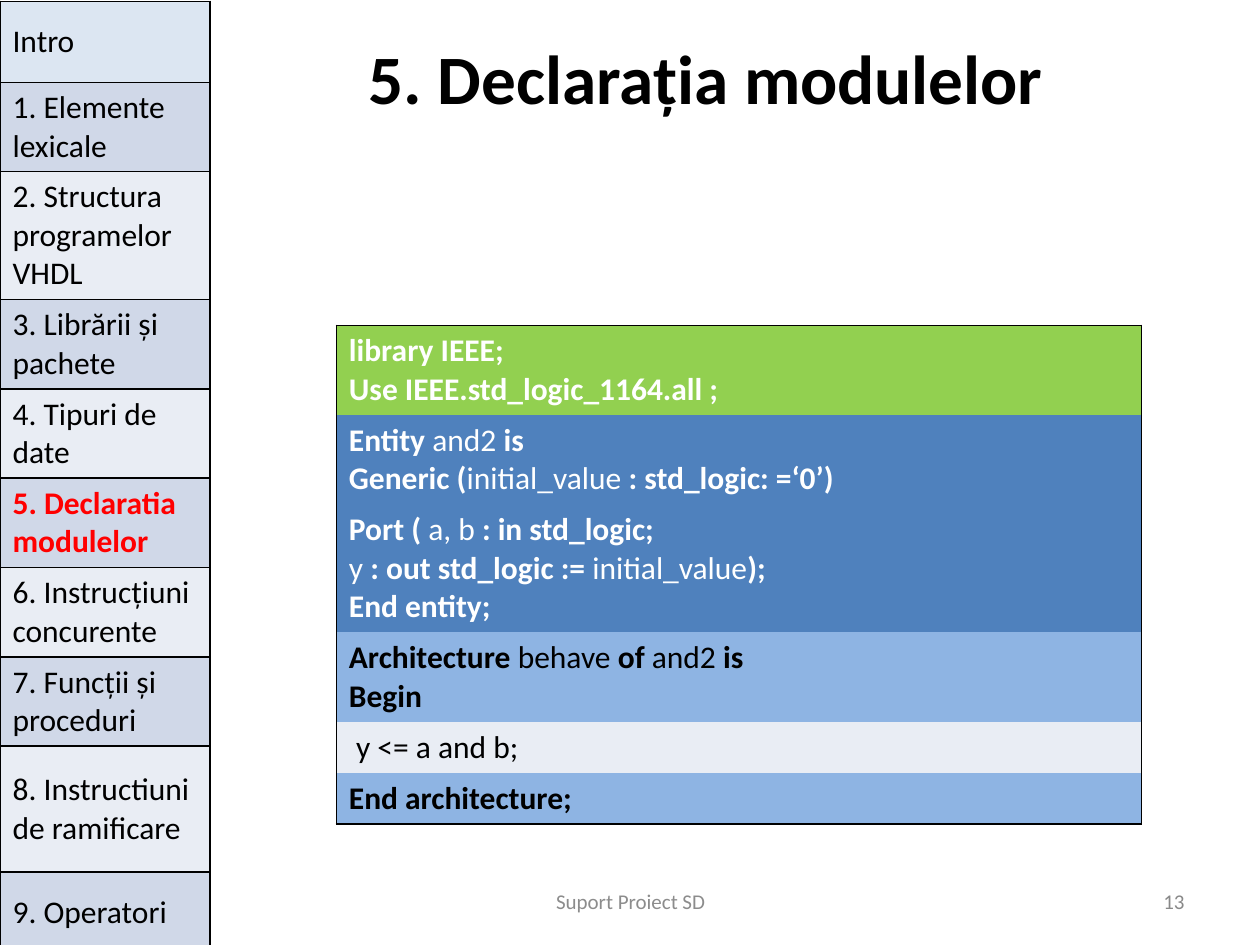
from pptx import Presentation
from pptx.dml.color import RGBColor
from pptx.enum.text import MSO_ANCHOR as Anchor, PP_ALIGN as Align
from pptx.oxml.ns import qn
from pptx.util import Cm, Pt
from lxml.etree import SubElement

BLACK, WHITE, RED = "000000", "FFFFFF", "FF0000"
GREEN, BLUE, SKY, PALE, MIST, ICE = (
    "92D050", "4F81BD", "8EB4E3", "E9EDF4", "D0D8E8", "DCE6F2")

# Bold parts stand between asterisks: height, fill, text colour, lines
CODE = [
    (1.8, GREEN, WHITE, ["*library IEEE;*", "*Use IEEE.std_logic_1164.all ;*"]),
    (1.8, BLUE, WHITE, ["*Entity *and2* is*",
                        "*Generic (*initial_value *: std_logic: =‘0’)*"]),
    (2.58, BLUE, WHITE, ["*Port ( *a, b *: in std_logic;*",
                         "y *: out std_logic := *initial_value*);*",
                         "*End entity;*"]),
    (1.8, SKY, BLACK, ["*Architecture* behave *of* and2 *is*", "*Begin*"]),
    (1.02, PALE, BLACK, [" y <= a and b;"]),
    (1.02, SKY, BLACK, ["*End architecture;*"]),
]
UNMERGED_ROW = 1

CHAPTERS = [
    ("Intro", 1.63), ("1. Elemente lexicale", 1.8),
    ("2. Structura programelor VHDL", 2.58), ("3. Librării și pachete", 1.8),
    ("4. Tipuri de date", 1.8), ("*5. Declaratia modulelor*", 1.8),
    ("6. Instrucțiuni concurente", 1.8), ("7. Funcții și proceduri", 1.8),
    ("8. Instructiuni de ramificare", 2.54), ("9. Operatori", 1.63),
]


def rgb(value):
    return RGBColor.from_string(value)


class Deck:
    font = "Calibri"

    def __init__(self, width, height):
        self.prs = Presentation()
        self.prs.slide_width, self.prs.slide_height = Cm(width), Cm(height)
        self.s = self.prs.slides.add_slide(self.prs.slide_layouts[6])

    def set_lines(self, tf, lines, size, color, align=Align.LEFT):
        """Fill a text frame, turning *marked* parts bold."""
        for i, line in enumerate(lines):
            p = tf.add_paragraph() if i else tf.paragraphs[0]
            p.alignment = align
            p.font.name, p.font.size = self.font, Pt(size)
            p.font.color.rgb = rgb(color)
            parts = [(t, n % 2 == 1) for n, t in enumerate(line.split("*")) if t]
            mixed = len(parts) > 1
            if not mixed:
                p.font.bold = parts[0][1]
            for text, bold in parts:
                r = p.add_run()
                r.text = text
                if mixed:
                    r.font.bold = bold

    def text(self, x, y, w, h, line, size, color, align):
        tf = self.s.shapes.add_textbox(Cm(x), Cm(y), Cm(w), Cm(h)).text_frame
        tf.word_wrap = True
        tf.vertical_anchor = Anchor.MIDDLE
        self.set_lines(tf, [line], size, color, align)

    def table(self, x, y, widths, heights):
        shape = self.s.shapes.add_table(len(heights), len(widths), Cm(x), Cm(y),
                                        Cm(sum(widths)), Cm(sum(heights)))
        tbl = shape.table
        tbl.first_row = tbl.horz_banding = False
        for column, width in zip(tbl.columns, widths):
            column.width = Cm(width)
        for row, height in zip(tbl.rows, heights):
            row.height = Cm(height)
        return tbl

    def cell(self, cell, fill, sides):
        """Fill a cell and draw a black border on the sides among L, R, T, B."""
        tc_pr = cell._tc.get_or_add_tcPr()
        for side in "LRTB":
            ln = SubElement(tc_pr, qn(f"a:ln{side}"), w=str(Pt(1)))
            if side in sides:
                solid = SubElement(ln, qn("a:solidFill"))
                SubElement(solid, qn("a:srgbClr"), val=BLACK)
            else:
                SubElement(ln, qn("a:noFill"))
        cell.fill.solid()
        cell.fill.fore_color.rgb = rgb(fill)


def add_code(deck):
    tbl = deck.table(6.78, 6.56, [10.52, 5.71], [row[0] for row in CODE])
    last = len(CODE) - 1
    for i, (_, fill, color, lines) in enumerate(CODE):
        left, right = tbl.cell(i, 0), tbl.cell(i, 1)
        ends = ("T" if i == 0 else "") + ("B" if i == last else "")
        merged = i != UNMERGED_ROW
        if merged:
            left.merge(right)
        deck.cell(left, fill, ends + ("LR" if merged else "L"))
        deck.cell(right, fill, ends + "R")
        deck.set_lines(left.text_frame, lines, 18, color)


def add_chapters(deck):
    tbl = deck.table(0, 0.03, [4.23], [height for _, height in CHAPTERS])
    for i, (title, _) in enumerate(CHAPTERS):
        cell = tbl.cell(i, 0)
        deck.cell(cell, ICE if i == 0 else MIST if i % 2 else PALE, "LRTB")
        cell.vertical_anchor = Anchor.MIDDLE
        deck.set_lines(cell.text_frame, [title], 18,
                       RED if "*" in title else BLACK)


def main():
    deck = Deck(25.4, 19.05)
    add_code(deck)
    deck.text(4.65, 0.76, 19.48, 1.57, "*5. Declarația modulelor *", 39.6, BLACK,
              Align.CENTER)
    deck.text(8.69, 17.65, 8.05, 1.02, "Suport Proiect SD", 12, "8C8C8C",
              Align.CENTER)
    deck.text(18.21, 17.65, 5.92, 1.02, "13", 12, "898989", Align.RIGHT)
    add_chapters(deck)
    deck.prs.save("out.pptx")


if __name__ == "__main__":
    main()
